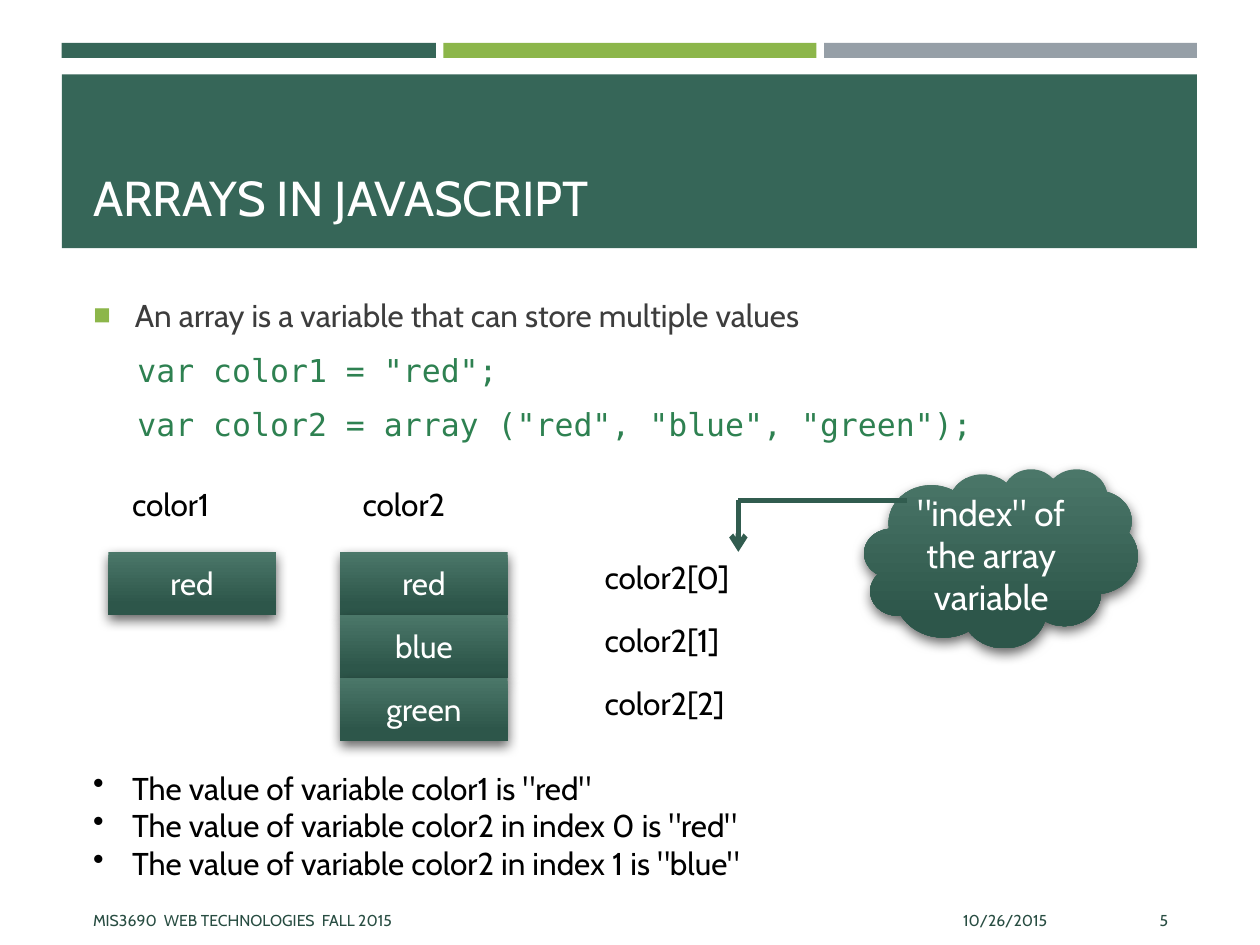
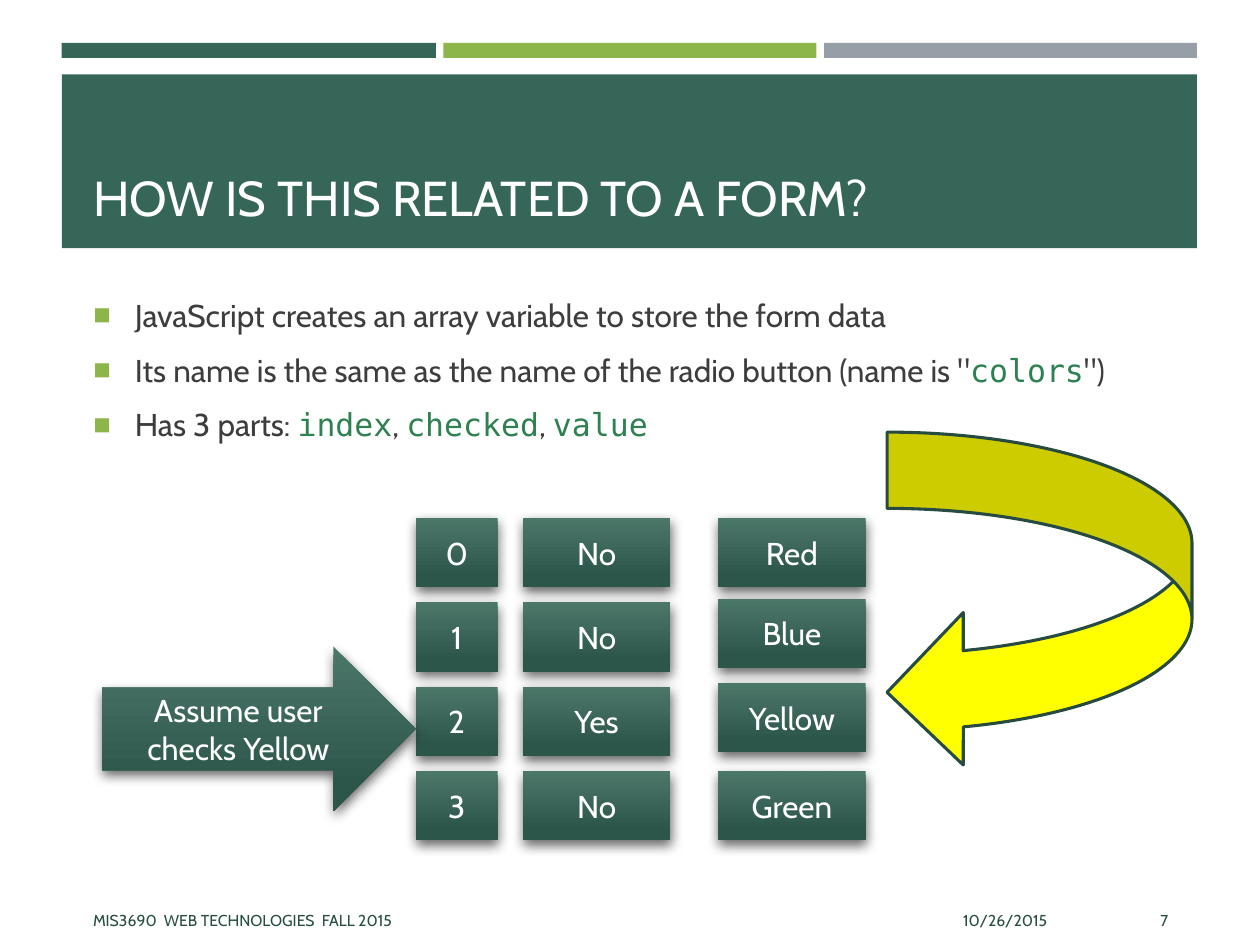
import pptx
import pptx.util
import pptx.dml.color
import pptx.enum.dml
import pptx.enum.shapes
import pptx.enum.text
import pptx.oxml
import pptx.oxml.ns
from lxml import etree

Inches = pptx.util.Inches
Pt = pptx.util.Pt
RGBColor = pptx.dml.color.RGBColor
Preset = pptx.enum.shapes.MSO_SHAPE
Align = pptx.enum.text.PP_ALIGN
Anchor = pptx.enum.text.MSO_ANCHOR
Fit = pptx.enum.text.MSO_AUTO_SIZE
qn = pptx.oxml.ns.qn

# Shared colours and fonts
PINE = RGBColor(0x36, 0x66, 0x58)
LIME = RGBColor(0x8C, 0xB6, 0x4A)
SLATE = RGBColor(0x96, 0x9F, 0xA7)
BLOCK_TOP = RGBColor(0x4B, 0x77, 0x69)
BLOCK_BOTTOM = RGBColor(0x2D, 0x56, 0x4A)
POINTER = RGBColor(0x31, 0x5C, 0x4F)
OUTLINE = RGBColor(0x28, 0x4B, 0x41)
FOOTER = RGBColor(0x28, 0x4D, 0x42)
CODE = RGBColor(0x2E, 0x81, 0x51)
BODY = RGBColor(0x3D, 0x3D, 0x3D)
BLACK = RGBColor(0, 0, 0)
WHITE = RGBColor(255, 255, 255)
YELLOW = RGBColor(255, 255, 0)
SANS, MONO = "Cabin", "DejaVu Sans Mono"


def write(frame, text, size=18, color=BLACK, align=Align.LEFT, anchor=Anchor.TOP,
          wrap=True, fit=Fit.NONE, bullet=None, bullet_color=None, indent=0, after=None):
    """Fill a frame, one paragraph a line; parts between backticks are code."""
    frame.word_wrap, frame.auto_size, frame.vertical_anchor = wrap, fit, anchor
    for number, line in enumerate(text.split("\n")):
        paragraph = frame.add_paragraph() if number else frame.paragraphs[0]
        paragraph.alignment = align
        if after is not None:
            paragraph.space_after = Pt(after)
        for part, piece in enumerate(line.split("`")):
            if piece:
                run = paragraph.add_run()
                run.text = piece
                run.font.size = Pt(size)
                run.font.name = MONO if part % 2 else SANS
                run.font.color.rgb = CODE if part % 2 else color
        if bullet:
            properties = paragraph._p.get_or_add_pPr()
            if line.startswith("`"):
                properties.set("marL", str(Inches(0.35)))
                properties.set("indent", "0")
                etree.SubElement(properties, qn("a:buNone"))
                continue
            properties.set("marL", str(Inches(indent)))
            properties.set("indent", str(-Inches(indent)))
            if bullet_color:
                tint = etree.SubElement(properties, qn("a:buClr"))
                etree.SubElement(tint, qn("a:srgbClr"), val=str(bullet_color))
                etree.SubElement(properties, qn("a:buSzPct"), val="92000")
            etree.SubElement(properties, qn("a:buChar"), char=bullet)


def add_block(slide, text, left, top, width, height, preset=Preset.RECTANGLE, size=18):
    """Add a green gradient shape with a soft shadow and centred text."""
    block = slide.shapes.add_shape(preset, Inches(left), Inches(top), Inches(width), Inches(height))
    block.fill.gradient()
    block.fill.gradient_angle = 270
    stops = block.fill.gradient_stops
    for stop, color, position in zip(stops, (BLOCK_TOP, BLOCK_BOTTOM), (0, 0.84)):
        stop.color.rgb, stop.position = color, position
    block.line.fill.background()
    block.shadow.inherit = False
    effects = block.element.spPr.find(qn("a:effectLst"))
    shadow = etree.SubElement(effects, qn("a:outerShdw"), blurRad=str(Pt(7)), dist=str(Pt(3)),
                              dir=str(84 * 60000), rotWithShape="0")
    tint = etree.SubElement(shadow, qn("a:srgbClr"), val="000000")
    etree.SubElement(tint, qn("a:alpha"), val="60000")
    write(block.text_frame, text, size=size, color=WHITE, align=Align.CENTER, anchor=Anchor.MIDDLE)


deck = pptx.Presentation()
deck.slide_width, deck.slide_height = Inches(10), Inches(7.5)
layout = deck.slide_layouts[1]
arrays = deck.slides.add_slide(layout)
form = deck.slides.add_slide(layout)

# Bands, moved to the master so that both slides show them
for left, top, width, height, color in (
    (0.49, 0.34, 2.97, 0.12, PINE),
    (3.52, 0.34, 2.96, 0.12, LIME),
    (6.54, 0.34, 2.96, 0.12, SLATE),
    (0.49, 0.59, 9.01, 1.38, PINE),
):
    band = arrays.shapes.add_shape(Preset.RECTANGLE, Inches(left), Inches(top),
                                   Inches(width), Inches(height))
    band.fill.solid()
    band.fill.fore_color.rgb = color
    band.line.fill.background()
    band.shadow.inherit = False
    deck.slide_master.shapes.element.append(band.element)

# Titles, lists and footers
for slide, heading, points, page in (
    (arrays, "ARRAYS IN JAVASCRIPT",
     'An array is a variable that can store multiple values\n'
     '`var color1 = "red";`\n'
     '`var color2 = array ("red", "blue", "green");`', "5"),
    (form, "HOW IS THIS RELATED TO A FORM?",
     'JavaScript creates an array variable to store the form data\n'
     'Its name is the same as the name of the radio button (name is "`colors`")\n'
     'Has 3 parts: `index`, `checked`, `value`', "7"),
):
    title, body = slide.placeholders
    title.left, title.top, title.width, title.height = map(Inches, (0.64, 0.67, 8.74, 1.18))
    body.left, body.top, body.width, body.height = map(Inches, (0.64, 2.3, 8.74, 4.62))
    write(title.text_frame, heading, size=28, color=WHITE, anchor=Anchor.BOTTOM)
    write(body.text_frame, points, color=BODY, bullet="■", bullet_color=LIME, indent=0.33, after=6)
    for text, left, width, align in (
        ("10/26/2015", 6.08, 2.33, Align.RIGHT),
        ("MIS3690  WEB TECHNOLOGIES  FALL 2015", 0.64, 5.33, Align.LEFT),
        (page, 8.53, 0.84, Align.RIGHT),
    ):
        note = slide.shapes.add_textbox(Inches(left), Inches(7.1), Inches(width), Inches(0.4))
        write(note.text_frame, text, size=9, color=FOOTER, align=align, anchor=Anchor.MIDDLE)

# Arrays: the cells of both variables
CELL_TOP, CELL_WIDTH, CELL_HEIGHT = 4.38, 1.33, 0.5
for left, values in ((0.86, ["red"]), (2.7, ["red", "blue", "green"])):
    for row, value in enumerate(values):
        add_block(arrays, value, left, CELL_TOP + row * CELL_HEIGHT, CELL_WIDTH, CELL_HEIGHT)

# Arrays: variable names, indexed names and the closing list
labels = [("color1", 0.95, 3.8, 1.1), ("color2", 2.78, 3.8, 1.1)]
labels += [(f"color2[{row}]", 4.7, CELL_TOP + row * CELL_HEIGHT, 1.55) for row in range(3)]
for text, left, top, width in labels:
    label = arrays.shapes.add_textbox(Inches(left), Inches(top), Inches(width), Inches(0.5))
    write(label.text_frame, text, wrap=False, fit=Fit.SHAPE_TO_FIT_TEXT)

summary = arrays.shapes.add_textbox(Inches(0.64), Inches(6.05), Inches(5.36), Inches(1.01))
write(summary.text_frame,
      'The value of variable color1 is "red"\n'
      'The value of variable color2 in index 0 is "red"\n'
      'The value of variable color2 in index 1 is "blue"',
      wrap=False, fit=Fit.SHAPE_TO_FIT_TEXT, bullet="•", indent=0.31)

# Arrays: the index cloud and its bent pointer
add_block(arrays, '"index" of the array variable', 6.86, 3.72, 2.17, 1.42, Preset.CLOUD, size=20)
corners = [(7.2, 3.97), (5.86, 3.97), (5.86, 4.38)]
for start, end in zip(corners, corners[1:]):
    pointer = arrays.shapes.add_connector(pptx.enum.shapes.MSO_CONNECTOR.STRAIGHT,
                                          *map(Inches, start + end))
    pointer.line.color.rgb = POINTER
    pointer.line.width = Pt(3)
    etree.SubElement(pointer.element.spPr, qn("a:effectLst"))
etree.SubElement(pointer.line._get_or_add_ln(), qn("a:tailEnd"), type="arrow")

# Form: index, checked and value of each radio button
ROW_TOP, ROW_PITCH = 4.11, 0.67
for left, width, values in (
    (3.3, 0.65, ["0", "1", "2", "3"]),
    (4.15, 1.17, ["No", "No", "Yes", "No"]),
    (5.7, 1.17, ["Red", "Blue", "Yellow", "Green"]),
):
    for row, value in enumerate(values):
        nudge = 0.03 if value in ("Blue", "Yellow") else 0
        add_block(form, value, left, ROW_TOP + row * ROW_PITCH - nudge, width, 0.55)

# Form: the user's choice and the arrow back to its value
add_block(form, "Assume user checks Yellow", 0.81, 5.13, 2.49, 1.31, Preset.RIGHT_ARROW)
loop_back = form.shapes.add_shape(Preset.CURVED_LEFT_ARROW, Inches(7.04), Inches(3.43),
                                  Inches(2.42), Inches(2.67))
loop_back.fill.solid()
loop_back.fill.fore_color.rgb = YELLOW
loop_back.line.color.rgb = OUTLINE
loop_back.line.width = Pt(1.75)
loop_back.shadow.inherit = False

deck.save("out.pptx")
